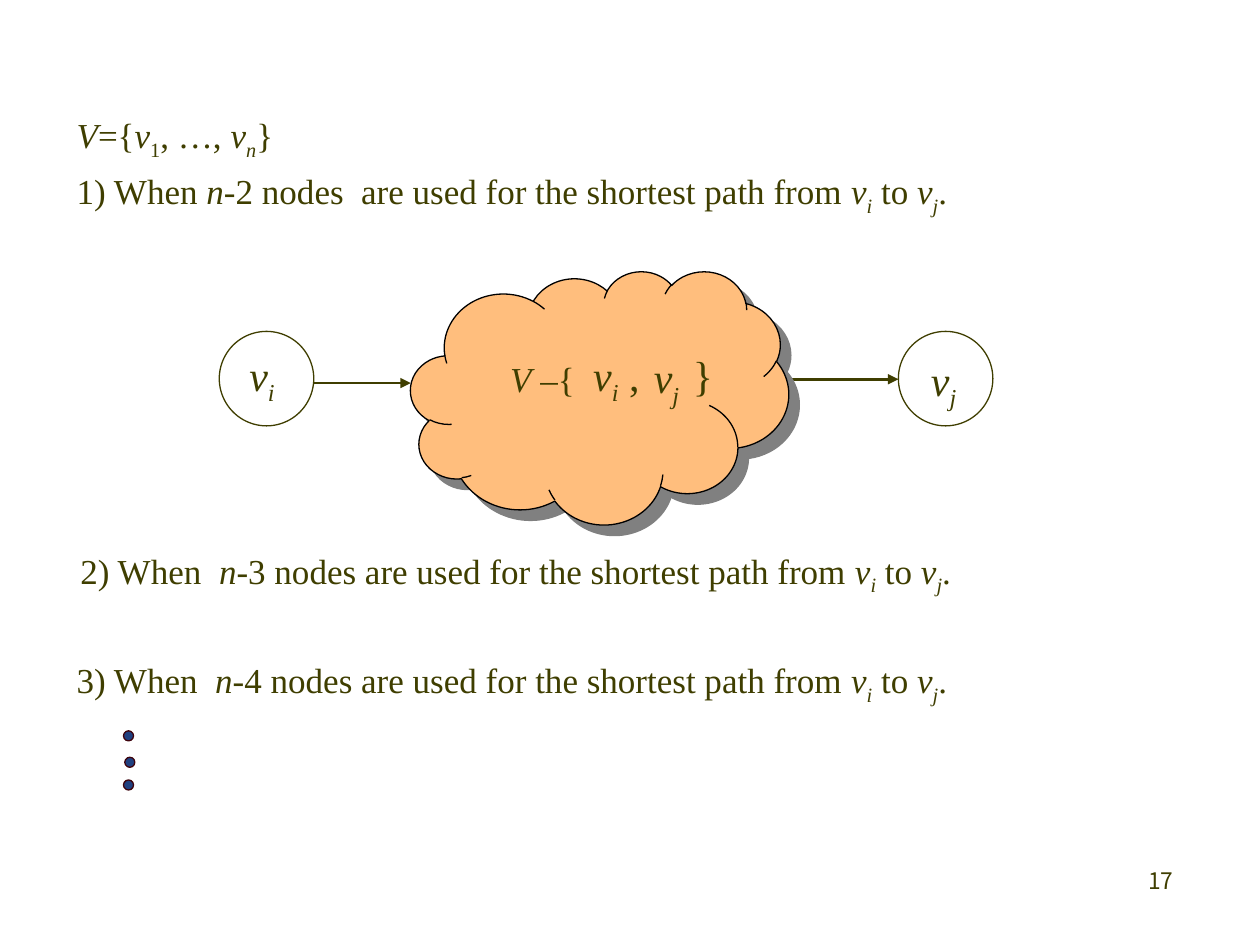
from dataclasses import dataclass
from typing import NamedTuple

from lxml import etree
from pptx import Presentation
from pptx import util as u
from pptx.dml.color import RGBColor
from pptx.enum import shapes, text
from pptx.oxml.ns import qn


@dataclass(frozen=True)
class Theme:
    ink: RGBColor = RGBColor(0x3F, 0x3E, 0x00)
    cloud: RGBColor = RGBColor(0xFF, 0xBE, 0x7D)
    cloud_line: RGBColor = RGBColor(0, 0, 0)
    cloud_shadow: str = "808080"
    dot: RGBColor = RGBColor(0x20, 0x40, 0x80)
    dot_line: RGBColor = RGBColor(0x3E, 0x02, 0x0C)
    math_font: str = "Times New Roman"
    number_font: str = "Noto Sans CJK KR"
    body: u.Pt = u.Pt(20)
    label: u.Pt = u.Pt(24)
    number: u.Pt = u.Pt(13)
    body_leading: u.Pt = u.Pt(28)
    label_leading: float = 0.9
    thin: u.Pt = u.Pt(0.75)


THEME = Theme()


class Run(NamedTuple):
    text: str
    italic: bool = False
    sub: bool = False


class Box(NamedTuple):
    left: float
    top: float
    width: float
    height: float


class MathText(NamedTuple):
    box: Box
    lines: list[list[Run]]
    size: u.Pt = THEME.body
    leading: float = THEME.body_leading
    tab: float | None = None


class Arrow(NamedTuple):
    start: float
    end: float
    y: float


def node(index: str, italic: bool = True) -> list[Run]:
    """The variable v with a subscript."""
    return [Run("v", True), Run(index, italic, True)]


def case(opening: str, rest: str) -> list[Run]:
    """One numbered statement about the shortest path."""
    return [Run(opening), Run("n", True),
            Run(f"{rest} used for the shortest path from "),
            *node("i"), Run(" to "), *node("j"), Run(".")]


def inches(box: Box) -> list[u.Inches]:
    return [u.Inches(length) for length in box]


def add_math(slide, item: MathText) -> None:
    frame = slide.shapes.add_textbox(*inches(item.box)).text_frame
    frame.word_wrap = False
    frame.auto_size = text.MSO_AUTO_SIZE.SHAPE_TO_FIT_TEXT
    for number, runs in enumerate(item.lines):
        paragraph = frame.add_paragraph() if number else frame.paragraphs[0]
        paragraph.line_spacing = item.leading
        if number:
            paragraph.space_before = u.Pt(4)
        if item.tab is not None:
            tabs = etree.SubElement(paragraph._p.get_or_add_pPr(), qn("a:tabLst"))
            etree.SubElement(tabs, qn("a:tab"), pos=str(u.Inches(item.tab)), algn="l")
        paragraph.font.name = THEME.math_font
        paragraph.font.size = item.size
        paragraph.font.color.rgb = THEME.ink
        for piece in runs:
            run = paragraph.add_run()
            run.text = piece.text
            if piece.italic:
                run.font.italic = True
            if piece.sub:
                run._r.get_or_add_rPr().set("baseline", "-25000")


def add_outline(slide, preset, box: Box, line: RGBColor, fill: RGBColor | None = None):
    shape = slide.shapes.add_shape(preset, *inches(box))
    shape.shadow.inherit = False
    if fill is None:
        shape.fill.background()
    else:
        shape.fill.solid()
        shape.fill.fore_color.rgb = fill
    shape.line.color.rgb = line
    shape.line.width = THEME.thin
    return shape


def add_arrow(slide, arrow: Arrow) -> None:
    y = u.Inches(arrow.y)
    connector = slide.shapes.add_connector(
        shapes.MSO_CONNECTOR.STRAIGHT, u.Inches(arrow.start), y, u.Inches(arrow.end), y)
    connector.line.color.rgb = THEME.ink
    connector.line.width = u.Pt(1.5)
    etree.SubElement(connector.line._get_or_add_ln(), qn("a:tailEnd"), type="triangle")
    etree.SubElement(connector._element.spPr, qn("a:effectLst"))


def add_cloud(slide, box: Box) -> None:
    cloud = add_outline(slide, shapes.MSO_SHAPE.CLOUD, box, THEME.cloud_line, THEME.cloud)
    effects = cloud._element.spPr.find(qn("a:effectLst"))
    shadow = etree.SubElement(effects, qn("a:outerShdw"), dist=str(u.Pt(8.5)),
                              dir="2700000", algn="ctr", rotWithShape="0")
    etree.SubElement(shadow, qn("a:srgbClr"), val=THEME.cloud_shadow)


def add_page_number(slide, box: Box, number: str) -> None:
    frame = slide.shapes.add_textbox(*inches(box)).text_frame
    frame.word_wrap = True
    paragraph = frame.paragraphs[0]
    paragraph.text = number
    paragraph.alignment = text.PP_ALIGN.RIGHT
    paragraph.font.name = THEME.number_font
    paragraph.font.size = THEME.number
    paragraph.font.color.rgb = THEME.ink


def label(box: Box, runs: list[Run], tab: float | None = None) -> MathText:
    return MathText(box, [runs], THEME.label, THEME.label_leading, tab)


CIRCLE = 0.75
CIRCLE_TOP = 2.63
CIRCLE_LEFTS = (1.74, 7.13)
CLOUD = Box(3.26, 2.15, 3, 2.01)
ARROWS = (Arrow(CIRCLE_LEFTS[0] + CIRCLE, CLOUD.left, 3.04),
          Arrow(CLOUD.left + CLOUD.width, CIRCLE_LEFTS[1], 3.01))
DOT = 0.08
DOTS = ((0.98, 5.8), (0.99, 6.01), (0.98, 6.19))

STATEMENTS = (
    MathText(Box(0.51, 0.84, 7.17, 0.95), [
        [Run("V", True), Run("={"), *node("1", italic=False), Run(", …, "),
         *node("n"), Run("}")],
        case("1) When ", "-2 nodes  are"),
    ]),
    MathText(Box(0.54, 4.3, 7.17, 0.46), [case("2) When  ", "-3 nodes are")]),
    MathText(Box(0.51, 5.17, 7.17, 0.46), [case("3) When  ", "-4 nodes are")]),
)
DIAGRAM_LABELS = (
    label(Box(1.88, 2.73, 0.41, 0.46), node("i")),
    label(Box(7.29, 2.77, 0.41, 0.47), node("j")),
    # The set inside the cloud; the tab leaves room for the second node
    MathText(Box(3.95, 2.73, 0.72, 0.49), [[Run("V", True), Run(" –{")]]),
    label(Box(4.61, 2.73, 1.25, 0.46), [*node("i"), Run(" ,\t}")], tab=0.79),
    label(Box(5.09, 2.75, 0.41, 0.46), node("j")),
)


def main() -> None:
    deck = Presentation()
    deck.slide_width, deck.slide_height = u.Inches(10), u.Inches(7.5)
    slide = deck.slides.add_slide(deck.slide_layouts[6])

    # Path diagram: end nodes, arrows and the cloud of remaining nodes
    for left in CIRCLE_LEFTS:
        add_outline(slide, shapes.MSO_SHAPE.OVAL,
                    Box(left, CIRCLE_TOP, CIRCLE, CIRCLE), THEME.ink)
    for arrow in ARROWS:
        add_arrow(slide, arrow)
    add_cloud(slide, CLOUD)

    # Statements and diagram labels
    for item in STATEMENTS + DIAGRAM_LABELS:
        add_math(slide, item)

    # Continuation dots
    for left, top in DOTS:
        add_outline(slide, shapes.MSO_SHAPE.OVAL, Box(left, top, DOT, DOT),
                    THEME.dot_line, THEME.dot)

    add_page_number(slide, Box(7.33, 6.83, 2.08, 0.5), "17")
    deck.save("out.pptx")


if __name__ == "__main__":
    main()
